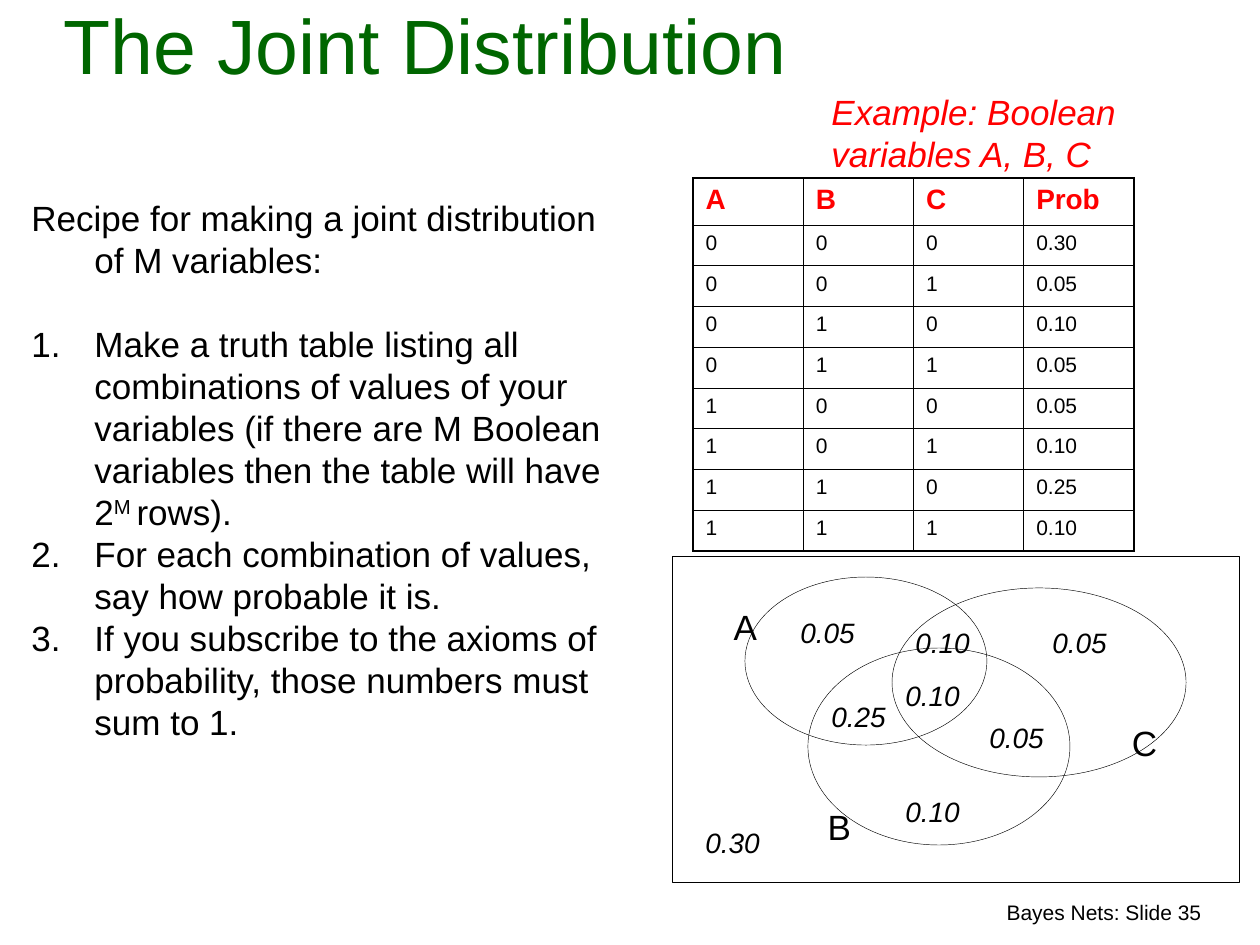
import pptx
import pptx.dml.color
import pptx.enum.shapes
import pptx.enum.text
import pptx.oxml
import pptx.oxml.ns
import pptx.util

BLACK = pptx.dml.color.RGBColor(0x00, 0x00, 0x00)
RED = pptx.dml.color.RGBColor(0xFF, 0x00, 0x00)
GREEN = pptx.dml.color.RGBColor(0x00, 0x66, 0x00)

ALIGN = pptx.enum.text.PP_ALIGN
SHAPE = pptx.enum.shapes.MSO_SHAPE
EMU_PER_PX = 914400 / 126
NAMESPACE = pptx.oxml.ns.nsdecls("a")


def px(length):
    return pptx.util.Emu(round(length * EMU_PER_PX))


def write(para, text, size=20, color=BLACK, bold=False, italic=False, raised=False):
    """Add a formatted span to the paragraph."""
    span = para.add_run()
    span.text = text
    span.font.name = "Arial"
    span.font.size = pptx.util.Pt(size)
    span.font.color.rgb = color
    span.font.bold = bold
    span.font.italic = italic
    if raised:
        span.font._element.set("baseline", "30000")


def set_hanging(para, numbered):
    """Indent by 63 px with the first line at the margin."""
    properties = para._p.get_or_add_pPr()
    properties.set("marL", str(px(63)))
    properties.set("indent", str(-px(63)))
    if numbered:
        for tag in (
            f'<a:buClr {NAMESPACE}><a:srgbClr val="{BLACK}"/></a:buClr>',
            f'<a:buFont {NAMESPACE} typeface="Arial"/>',
            f'<a:buAutoNum {NAMESPACE} type="arabicPeriod"/>',
        ):
            properties.append(pptx.oxml.parse_xml(tag))


def set_borders(cell, widths):
    """Draw the left, right, top and bottom borders with widths in points."""
    properties = cell._tc.get_or_add_tcPr()
    for index, (side, width) in enumerate(zip("LRTB", widths)):
        properties.insert(index, pptx.oxml.parse_xml(
            f'<a:ln{side} {NAMESPACE} w="{pptx.util.Pt(width)}"><a:solidFill>'
            f'<a:srgbClr val="{BLACK}"/></a:solidFill></a:ln{side}>'))


class SlideBuilder:
    OUTLINE = 0.25
    INNER_BORDER = 0.45
    OUTER_BORDER = 1.08

    def __init__(self, page):
        self.page = page

    def box(self, left, top, width, height, wrap=True, grow=True):
        """Add an empty text box and return its text frame."""
        frame = self.page.shapes.add_textbox(
            px(left), px(top), px(width), px(height)).text_frame
        frame.word_wrap = wrap
        sizes = pptx.enum.text.MSO_AUTO_SIZE
        frame.auto_size = sizes.SHAPE_TO_FIT_TEXT if grow else sizes.NONE
        return frame

    def label(self, place, text, align=ALIGN.LEFT, wrap=True, **style):
        para = self.box(*place, wrap=wrap).paragraphs[0]
        para.alignment = align
        write(para, text, **style)

    def title(self, place, text):
        frame = self.box(*place, grow=False)
        frame.vertical_anchor = pptx.enum.text.MSO_ANCHOR.BOTTOM
        frame.paragraphs[0].alignment = ALIGN.CENTER
        write(frame.paragraphs[0], text, size=44, color=GREEN)

    def recipe(self, place, heading, steps):
        """Write a heading and numbered steps; each step is a list of (text, raised)."""
        frame = self.box(*place)
        set_hanging(frame.paragraphs[0], numbered=False)
        write(frame.paragraphs[0], heading)
        for number, step in enumerate(steps):
            para = frame.add_paragraph()
            if number == 0:
                para.space_before = pptx.util.Pt(24)
            set_hanging(para, numbered=True)
            for text, raised in step:
                write(para, text, raised=raised)

    def outline(self, kind, left, top, width, height):
        shape = self.page.shapes.add_shape(
            kind, px(left), px(top), px(width), px(height))
        shape.shadow.inherit = False
        shape.fill.background()
        shape.line.color.rgb = BLACK
        shape.line.width = pptx.util.Pt(self.OUTLINE)

    def table(self, left, top, width, height, header_height, rows):
        last_row, last_column = len(rows) - 1, len(rows[0]) - 1
        table = self.page.shapes.add_table(
            len(rows), len(rows[0]), px(left), px(top), px(width), px(height)).table
        for column in table.columns:
            column.width = px(width / len(rows[0]))
        for r, values in enumerate(rows):
            table.rows[r].height = px(
                (height - header_height) / last_row if r else header_height)
            style = {"size": 12} if r else {"size": 16, "color": RED, "bold": True}
            for c, value in enumerate(values):
                cell = table.cell(r, c)
                cell.fill.background()
                edges = (c == 0, c == last_column, r == 0, r == last_row)
                set_borders(cell, [self.OUTER_BORDER if edge else self.INNER_BORDER
                                   for edge in edges])
                write(cell.text_frame.paragraphs[0], value, **style)


def main():
    deck = pptx.Presentation()
    deck.slide_width, deck.slide_height = px(1260), px(945)
    builder = SlideBuilder(deck.slides.add_slide(deck.slide_layouts[6]))

    builder.label((720, 893, 494, 38), "Bayes Nets: Slide 35", align=ALIGN.RIGHT, size=12)
    builder.title((10, 20, 831, 76), "The Joint Distribution")
    builder.recipe(
        (19, 190, 611, 601),
        "Recipe for making a joint distribution of M variables:",
        [
            [("Make a truth table listing all combinations of values of your variables "
              "(if there are M Boolean variables then the table will have 2", False),
             ("M ", True), ("rows).", False)],
            [("For each combination of values, say how probable it is.", False)],
            [("If you subscribe to the axioms of probability, those numbers must "
              "sum to 1.", False)],
        ])
    builder.label((819, 84, 420, 97), "Example: Boolean variables A, B, C",
                  color=RED, italic=True)

    probabilities = ["0.30", "0.05", "0.10", "0.05", "0.05", "0.10", "0.25", "0.10"]
    truth_rows = [[*f"{index:03b}", probability]
                  for index, probability in enumerate(probabilities)]
    builder.table(693, 178, 441, 373, 47, [["A", "B", "C", "Prob"], *truth_rows])

    builder.outline(SHAPE.RECTANGLE, 672, 556, 567, 326)
    for ellipse in ((745, 577, 242, 168), (808, 648, 262, 197), (892, 588, 294, 189)):
        builder.outline(SHAPE.OVAL, *ellipse)

    for name, left, top, width in (("A", 721, 599, 49), ("B", 815, 799, 49),
                                   ("C", 1119, 715, 51)):
        builder.label((left, top, width, 55), name, align=ALIGN.CENTER, wrap=False)

    for probability, left, top in (
            ("0.05", 977, 714), ("0.25", 819, 693), ("0.10", 903, 619),
            ("0.05", 1040, 619), ("0.05", 788, 609), ("0.10", 893, 672),
            ("0.10", 893, 788), ("0.30", 693, 819)):
        builder.label((left, top, 82, 47), probability, wrap=False, size=16, italic=True)

    deck.save("out.pptx")


if __name__ == "__main__":
    main()
